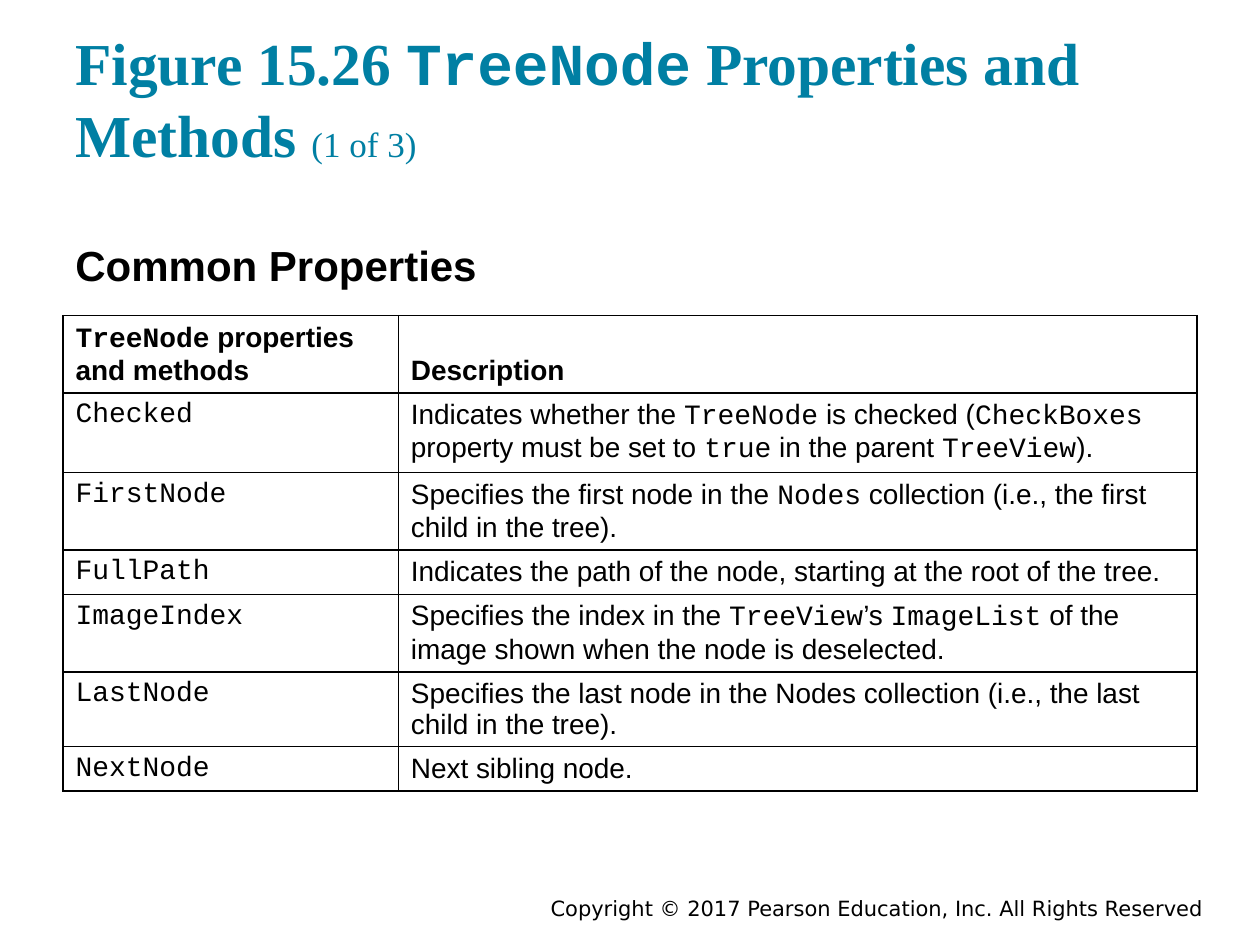
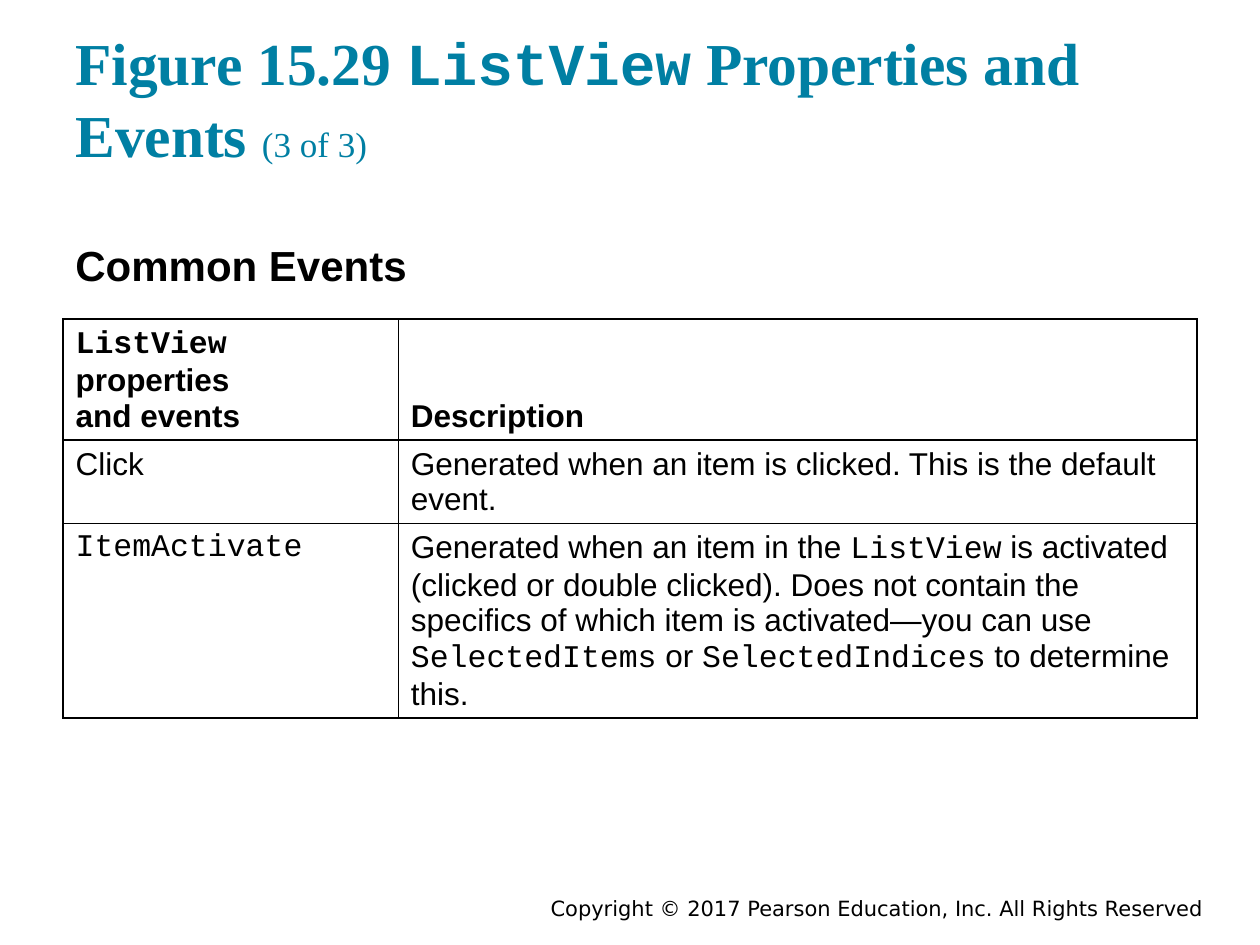
from pptx import Presentation
from pptx.dml.color import RGBColor
from pptx.enum.text import MSO_ANCHOR as Anchor, MSO_AUTO_SIZE as AutoSize, PP_ALIGN as Align
from pptx.oxml.ns import qn
from pptx.util import Cm, Pt
from lxml.etree import SubElement

TEAL = RGBColor(0x00, 0x7F, 0xA3)
BLACK = RGBColor(0x00, 0x00, 0x00)
WHITE = RGBColor(0xFF, 0xFF, 0xFF)
CODE_FONT = "Courier New"

LEFT, CONTENT_WIDTH = Cm(1.27), Cm(22.86)
INSET = Cm(0.25)
COLUMN_WIDTHS = (6.76, 16.1)
COPYRIGHT = "Copyright © 2017 Pearson Education, Inc. All Rights Reserved"

# Words between backticks are set in the code font
FIGURES = [
    {
        "title": "Figure 15.26 `TreeNode` Properties and Methods ",
        "part": "(1 of 3)",
        "heading": "Common Properties",
        "table_top": 6.36,
        "text_size": 16,
        "row_heights": (1.55, 1.61, 1.56, 0.89, 1.56, 1.51, 0.89),
        "rows": [
            ("`TreeNode` properties\nand methods", "Description"),
            ("`Checked`", "Indicates whether the `TreeNode` is checked (`CheckBoxes` "
             "property must be set to `true` in the parent `TreeView`)."),
            ("`FirstNode`", "Specifies the first node in the `Nodes` collection "
             "(i.e., the first child in the tree)."),
            ("`FullPath`", "Indicates the path of the node, starting at the root of the tree."),
            ("`ImageIndex`", "Specifies the index in the `TreeView`’s `ImageList` of the "
             "image shown when the node is deselected."),
            ("`LastNode`", "Specifies the last node in the Nodes collection "
             "(i.e., the last child in the tree)."),
            ("`NextNode`", "Next sibling node."),
        ],
    },
    {
        "title": "Figure 15.29 `ListView` Properties and Events ",
        "part": "(3 of 3)",
        "heading": "Common Events",
        "table_top": 6.43,
        "text_size": 18,
        "row_heights": (2.43, 1.68, 3.92),
        "rows": [
            ("`ListView` properties\nand events", "Description"),
            ("Click", "Generated when an item is clicked. This is the default event."),
            ("`ItemActivate`", "Generated when an item in the `ListView` is activated "
             "(clicked or double clicked). Does not contain the specifics of which item is "
             "activated—you can use `SelectedItems` or `SelectedIndices` to determine this."),
        ],
    },
]


def write(paragraph, text, *, size, font="Arial", color=BLACK, bold=False, align=Align.LEFT):
    paragraph.alignment = align
    paragraph.space_before = Pt(0)
    for index, piece in enumerate(text.split("`")):
        if piece:
            run = paragraph.add_run()
            run.text = piece
            run.font.name = CODE_FONT if index % 2 else font
            run.font.size = Pt(size)
            run.font.bold = bold
            run.font.color.rgb = color


def set_borders(cell):
    properties = cell._tc.get_or_add_tcPr()
    for side in ("a:lnL", "a:lnR", "a:lnT", "a:lnB"):
        line = SubElement(properties, qn(side), w=str(Pt(1)))
        fill = SubElement(line, qn("a:solidFill"))
        SubElement(fill, qn("a:srgbClr"), val=str(BLACK))


presentation = Presentation()
presentation.slide_width, presentation.slide_height = Cm(25.4), Cm(19.05)

for figure in FIGURES:
    slide = presentation.slides.add_slide(presentation.slide_layouts[1])
    slide.background.fill.solid()
    slide.background.fill.fore_color.rgb = WHITE

    # Title and heading placeholders
    title, heading = slide.shapes.title, slide.placeholders[1]
    for shape, top, height, top_inset, anchor in (
        (title, 0.61, 3.05, INSET, Anchor.BOTTOM),
        (heading, 4.45, 1.4, Cm(0.38), Anchor.TOP),
    ):
        shape.left, shape.top = LEFT, Cm(top)
        shape.width, shape.height = CONTENT_WIDTH, Cm(height)
        frame = shape.text_frame
        frame.auto_size = AutoSize.NONE
        frame.word_wrap = True
        frame.vertical_anchor = anchor
        frame.margin_left = frame.margin_right = INSET
        frame.margin_top = top_inset
        frame.margin_bottom = INSET if shape is title else 0

    paragraph = title.text_frame.paragraphs[0]
    write(paragraph, figure["title"], size=34, font="Times New Roman", color=TEAL, bold=True)
    write(paragraph, figure["part"], size=20, font="Times New Roman", color=TEAL)

    paragraph = heading.text_frame.paragraphs[0]
    properties = paragraph._p.get_or_add_pPr()
    properties.set("marL", "0")
    properties.set("indent", "0")
    SubElement(properties, qn("a:buNone"))
    write(paragraph, figure["heading"], size=24, bold=True)

    # Table of members
    rows, heights = figure["rows"], figure["row_heights"]
    table = slide.shapes.add_table(
        len(rows), len(COLUMN_WIDTHS), LEFT, Cm(figure["table_top"]),
        CONTENT_WIDTH, Cm(sum(heights)),
    ).table
    table.first_row = table.horz_banding = False
    for column, width in zip(table.columns, COLUMN_WIDTHS):
        column.width = Cm(width)
    for row_index, (texts, height) in enumerate(zip(rows, heights)):
        is_header = row_index == 0
        table.rows[row_index].height = Cm(height)
        for column_index, text in enumerate(texts):
            cell = table.cell(row_index, column_index)
            set_borders(cell)
            cell.fill.solid()
            cell.fill.fore_color.rgb = WHITE
            cell.vertical_anchor = Anchor.BOTTOM if is_header else Anchor.TOP
            frame = cell.text_frame
            for line_index, line in enumerate(text.split("\n")):
                paragraph = frame.add_paragraph() if line_index else frame.paragraphs[0]
                write(paragraph, line, size=figure["text_size"], bold=is_header)

    # Copyright footer
    footer = slide.shapes.add_textbox(Cm(7.62), Cm(17.98), Cm(16.89), Cm(0.64))
    frame = footer.text_frame
    frame.word_wrap = True
    frame.vertical_anchor = Anchor.MIDDLE
    frame.margin_top = frame.margin_bottom = 0
    write(frame.paragraphs[0], COPYRIGHT, size=12, font="DejaVu Sans", align=Align.RIGHT)

presentation.save("out.pptx")
